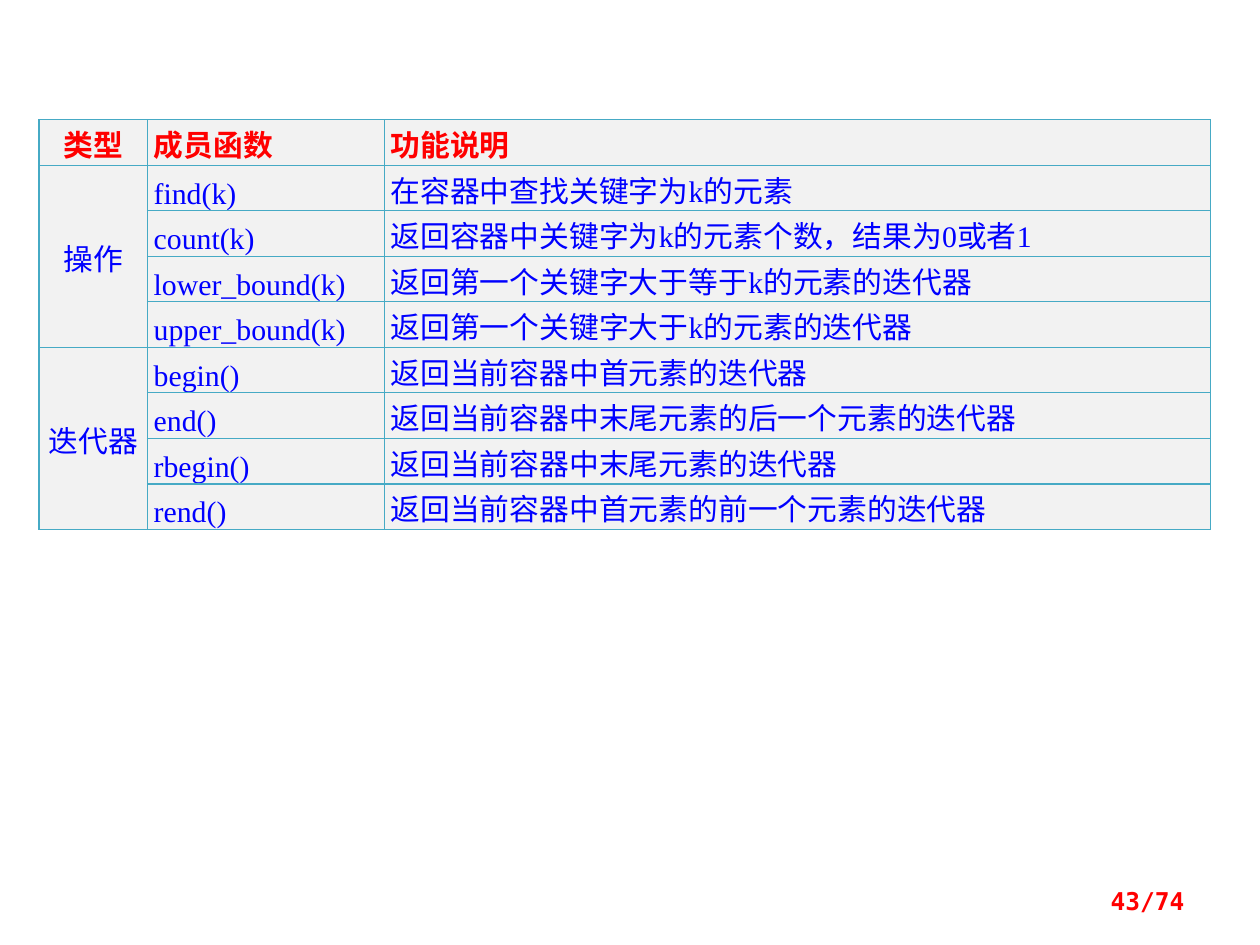
from pptx import Presentation
from pptx.dml.color import RGBColor
from pptx.enum.text import MSO_ANCHOR, PP_ALIGN
from pptx.oxml import parse_xml
from pptx.oxml.ns import nsdecls
from pptx.util import Inches, Pt

HEADINGS = ("类型", "成员函数", "功能说明")
GROUPS = [
    ("操作", [
        ("find(k)", "在容器中查找关键字为k的元素"),
        ("count(k)", "返回容器中关键字为k的元素个数，结果为0或者1"),
        ("lower_bound(k)", "返回第一个关键字大于等于k的元素的迭代器"),
        ("upper_bound(k)", "返回第一个关键字大于k的元素的迭代器"),
    ]),
    ("迭代器", [
        ("begin()", "返回当前容器中首元素的迭代器"),
        ("end()", "返回当前容器中末尾元素的后一个元素的迭代器"),
        ("rbegin()", "返回当前容器中末尾元素的迭代器"),
        ("rend()", "返回当前容器中首元素的前一个元素的迭代器"),
    ]),
]
PAGE_NUMBER = "43/74"

COLUMN_WIDTHS = (0.86, 1.88, 6.56)
TABLE_LEFT, TABLE_TOP = 0.31, 0.95
LINE_HEIGHT = Pt(26)
RED = RGBColor(0xFF, 0x00, 0x00)
BLUE = RGBColor(0x00, 0x00, 0xFF)
PALE_GREY = RGBColor(0xF2, 0xF2, 0xF2)
TEAL = RGBColor(0x46, 0xAA, 0xC5)


def write_text(frame, text, *, size, font, color, bold=False, align=PP_ALIGN.LEFT, spacing=None):
    """Write one formatted paragraph into a text frame."""
    para = frame.paragraphs[0]
    para.alignment = align
    para.line_spacing = spacing
    span = para.add_run()
    span.text = text
    span.font.size = Pt(size)
    span.font.name = font
    span.font.bold = bold
    span.font.color.rgb = color


def style_cell(cell):
    """Give a cell its margins, borders and fill."""
    cell.margin_left = cell.margin_right = Inches(0.05)
    cell.margin_top = cell.margin_bottom = 0
    properties = cell._tc.get_or_add_tcPr()
    for side in ("lnL", "lnR", "lnT", "lnB"):
        properties.append(parse_xml(
            f'<a:{side} {nsdecls("a")} w="{Pt(0.75)}"><a:solidFill>'
            f'<a:srgbClr val="{TEAL}"/></a:solidFill></a:{side}>'))
    cell.fill.solid()
    cell.fill.fore_color.rgb = PALE_GREY


def fill_cell(cell, text, column, color, bold=False):
    """Write a table entry, centred in the first column."""
    if column == 0:
        cell.vertical_anchor = MSO_ANCHOR.MIDDLE
    write_text(cell.text_frame, text, size=17, font="Times New Roman", color=color, bold=bold,
               align=PP_ALIGN.JUSTIFY if column else PP_ALIGN.CENTER, spacing=LINE_HEIGHT)


def add_function_table(page):
    """Add the table of member functions grouped by type."""
    row_count = 1 + sum(len(functions) for _, functions in GROUPS)
    table = page.shapes.add_table(
        row_count, len(HEADINGS), Inches(TABLE_LEFT), Inches(TABLE_TOP),
        Inches(sum(COLUMN_WIDTHS)), LINE_HEIGHT * row_count).table
    for column, width in zip(table.columns, COLUMN_WIDTHS):
        column.width = Inches(width)
    for row in table.rows:
        row.height = LINE_HEIGHT
    for cell in table.iter_cells():
        style_cell(cell)
    for column, heading in enumerate(HEADINGS):
        fill_cell(table.cell(0, column), heading, column, RED, bold=True)
    first = 1
    for kind, functions in GROUPS:
        last = first + len(functions) - 1
        table.cell(first, 0).merge(table.cell(last, 0))
        fill_cell(table.cell(first, 0), kind, 0, BLUE)
        for row, entries in enumerate(functions, first):
            for column, entry in enumerate(entries, 1):
                fill_cell(table.cell(row, column), entry, column, BLUE)
        first = last + 1


def main():
    """Build the slide and save it."""
    deck = Presentation()
    deck.slide_width, deck.slide_height = Inches(10), Inches(7.5)
    page = deck.slides.add_slide(deck.slide_layouts[6])
    add_function_table(page)
    box = page.shapes.add_textbox(Inches(7.17), Inches(6.95), Inches(2.33), Inches(0.4))
    box.text_frame.word_wrap = True
    box.text_frame.vertical_anchor = MSO_ANCHOR.MIDDLE
    write_text(box.text_frame, PAGE_NUMBER, size=14, font="DejaVu Sans Mono", color=RED,
               bold=True, align=PP_ALIGN.RIGHT)
    deck.save("out.pptx")


if __name__ == "__main__":
    main()
